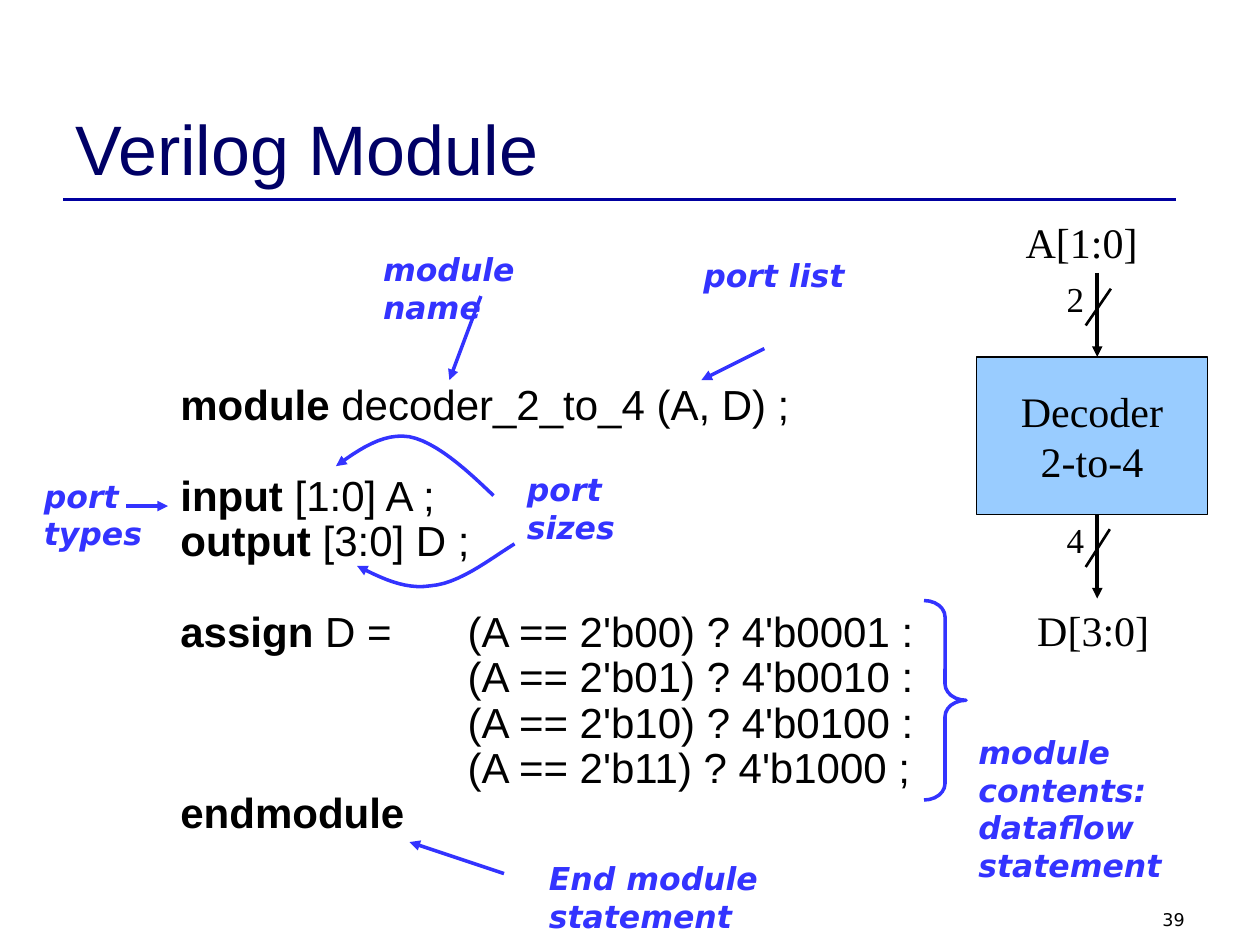
"""Build the Verilog Module slide."""
from dataclasses import dataclass
from typing import Optional

from lxml import etree
from pptx import Presentation
from pptx.dml.color import RGBColor
from pptx.enum.shapes import MSO_CONNECTOR, MSO_SHAPE
from pptx.enum.text import MSO_ANCHOR, PP_ALIGN
from pptx.oxml.ns import qn
from pptx.util import Inches, Pt

STRAIGHT = MSO_CONNECTOR.STRAIGHT
RECT, BRACE = MSO_SHAPE.RECTANGLE, MSO_SHAPE.RIGHT_BRACE
TOP, MIDDLE, BOTTOM = MSO_ANCHOR.TOP, MSO_ANCHOR.MIDDLE, MSO_ANCHOR.BOTTOM
LEFT, CENTER, RIGHT = PP_ALIGN.LEFT, PP_ALIGN.CENTER, PP_ALIGN.RIGHT
COLUMNS, ROWS, CELLS_PER_INCH = 120, 90, 12
CURVE_STEPS = 12
VALUE_TAB = 2.28


@dataclass(frozen=True)
class Style:
    """Character format of a kind of text."""
    name: str
    size: int
    color: str
    bold: bool = False
    italic: bool = False


@dataclass(frozen=True)
class Theme:
    """Colours and type styles of the slide."""
    ink: str = "000000"
    accent: str = "3333FF"
    rule: str = "0000A0"
    block: str = "99CCFF"
    title: Style = Style("Arial", 40, "000066")
    code: Style = Style("Arial", 24, "000000")
    note: Style = Style("DejaVu Sans", 18, "3333FF", True, True)
    signal: Style = Style("Times New Roman", 24, "000000")
    width: Style = Style("Times New Roman", 20, "000000")
    number: Style = Style("DejaVu Sans", 10, "000000")


THEME = Theme()


@dataclass(frozen=True)
class Label:
    """Text in a box measured in grid cells."""
    text: str
    style: Style
    box: tuple[float, ...]
    wrap: bool = True
    anchor: MSO_ANCHOR = TOP
    align: PP_ALIGN = LEFT


@dataclass(frozen=True)
class Line:
    """Straight line between two grid points."""
    start: tuple[float, float]
    end: tuple[float, float]
    color: str
    weight: float = 2
    arrow: bool = True


@dataclass(frozen=True)
class CodeLine:
    """Keyword and the rest of a line of code."""
    keyword: str = ""
    rest: str = ""
    gap: bool = False


LABELS = (
    Label("39", THEME.number, (86, 86, 28, 3), align=RIGHT),
    Label("Verilog Module", THEME.title, (6, 3.6, 108, 15), anchor=BOTTOM),
    Label("A[1:0]", THEME.signal, (96.5, 20, 13.1, 6), False),
    Label("D[3:0]", THEME.signal, (97.6, 57, 13.1, 6), False),
    Label("2", THEME.width, (100.4, 25.8, 4.1, 5.3), False),
    Label("4", THEME.width, (100.4, 48.8, 4.1, 5.3), False),
    Label("port list", THEME.note, (65.8, 23.8, 25.2, 4.8)),
    Label("module name", THEME.note, (35.3, 23.2, 21.7, 4.8)),
    Label("port types", THEME.note, (3, 44.8, 14, 8.4)),
    Label("port sizes", THEME.note, (49, 44.2, 14, 8.4)),
    Label("module contents: dataflow statement", THEME.note, (92, 69.2, 26, 15.6)),
    Label("End module statement", THEME.note, (51.1, 81.2, 34.6, 4.8)),
)
LINES = (
    Line((6, 19), (112, 19), THEME.rule, 1.5, False),
    Line((104.5, 26), (104.5, 34), THEME.ink),
    Line((104.5, 49), (104.5, 57), THEME.ink),
    Line((105.8, 27.5), (103.4, 31), THEME.ink, 1.5, False),
    Line((105.7, 50.4), (103.4, 54), THEME.ink, 1.5, False),
    Line((72.8, 33.2), (66.8, 36.2), THEME.accent),
    Line((45.8, 28.2), (42.8, 36.2), THEME.accent),
    Line((12, 48.2), (16, 48.2), THEME.accent),
    Line((48, 83.2), (39, 80.2), THEME.accent),
)
CURVES = (
    ((47, 47.2), (44.3, 44.6), (41.5, 42.1), (39, 41.6),
     (36.5, 41.2), (34.2, 42.8), (32, 44.4)),
    ((49, 51.8), (46.2, 53.6), (43.6, 55.6), (41, 55.8),
     (38.5, 56.2), (36.2, 55), (34, 53.9)),
)
CODE = (
    CodeLine("module", " decoder_2_to_4 (A, D) ;"),
    CodeLine("input", " [1:0] A ;", True),
    CodeLine("output", " [3:0] D ;"),
    CodeLine("assign", " D =\t(A == 2'b00) ? 4'b0001 :", True),
    CodeLine(rest="\t(A == 2'b01) ? 4'b0010 :"),
    CodeLine(rest="\t(A == 2'b10) ? 4'b0100 :"),
    CodeLine(rest="\t(A == 2'b11) ? 4'b1000 ;"),
    CodeLine("endmodule"),
)


def cells(*values: float) -> list[int]:
    """Turn grid cells into lengths."""
    return [Inches(v / CELLS_PER_INCH) for v in values]


def add_run(p, text: str, style: Style, bold: Optional[bool] = None) -> None:
    """Add a styled run to a paragraph."""
    r = p.add_run()
    r.text = text
    values = {"name": style.name, "size": Pt(style.size), "italic": style.italic,
              "bold": style.bold if bold is None else bold}
    for key, value in values.items():
        setattr(r.font, key, value)
    r.font.color.rgb = RGBColor.from_string(style.color)


def draw_label(s, label: Label) -> None:
    """Draw a text box."""
    fill_text(s.shapes.add_textbox(*cells(*label.box)).text_frame, label)


def fill_text(tf, label: Label) -> None:
    """Write a label into a text frame, one paragraph a line."""
    tf.word_wrap, tf.vertical_anchor = label.wrap, label.anchor
    for i, text in enumerate(label.text.split("\n")):
        p = tf.add_paragraph() if i else tf.paragraphs[0]
        p.alignment = label.align
        add_run(p, text, label.style)


def style_line(shape, color: str, weight: float, arrow: bool) -> None:
    """Set the stroke of a shape and its arrowhead."""
    shape.line.color.rgb = RGBColor.from_string(color)
    shape.line.width = Pt(weight)
    if arrow:
        ln = shape._element.spPr.find(qn("a:ln"))
        etree.SubElement(ln, qn("a:tailEnd"), type="triangle")


def draw_line(s, line: Line) -> None:
    """Draw a straight connector."""
    c = s.shapes.add_connector(STRAIGHT, *cells(*line.start, *line.end))
    style_line(c, line.color, line.weight, line.arrow)
    etree.SubElement(c._element.spPr, qn("a:effectLst"))


def bezier(points, t: float) -> list[int]:
    """Return the point at t on a cubic curve."""
    weights = ((1 - t) ** 3, 3 * t * (1 - t) ** 2, 3 * t * t * (1 - t), t ** 3)
    return cells(*(sum(w * v for w, v in zip(weights, axis)) for axis in zip(*points)))


def draw_curve(s, points) -> None:
    """Draw a curved arrow made of joined cubic curves."""
    track = [bezier(points[i:i + 4], k / CURVE_STEPS)
             for i in range(0, len(points) - 1, 3) for k in range(1, CURVE_STEPS + 1)]
    builder = s.shapes.build_freeform(*cells(*points[0]))
    builder.add_line_segments(track, close=False)
    sp = builder.convert_to_shape()
    sp.shadow.inherit = False
    sp.fill.background()
    style_line(sp, THEME.accent, 2, True)


def draw_code(s) -> None:
    """Draw the module listing."""
    tf = s.shapes.add_textbox(*cells(16, 36, 99, 44.4)).text_frame
    tf.word_wrap = True
    for i, line in enumerate(CODE):
        p = tf.add_paragraph() if i else tf.paragraphs[0]
        p.line_spacing = 0.9
        if line.gap:
            p.space_before = Pt(26)
        tabs = etree.SubElement(p._p.get_or_add_pPr(), qn("a:tabLst"))
        etree.SubElement(tabs, qn("a:tab"), pos=str(Inches(VALUE_TAB)), algn="l")
        for text, bold in ((line.keyword, True), (line.rest, False)):
            if text:
                add_run(p, text, THEME.code, bold)


def draw_decoder(s) -> None:
    """Draw the decoder block."""
    label = Label("Decoder\n2-to-4", THEME.signal, (93, 34, 22, 15), False, MIDDLE, CENTER)
    sp = s.shapes.add_shape(RECT, *cells(*label.box))
    sp.shadow.inherit = False
    sp.fill.solid()
    sp.fill.fore_color.rgb = RGBColor.from_string(THEME.block)
    style_line(sp, THEME.ink, 0.75, False)
    fill_text(sp.text_frame, label)


def draw_brace(s) -> None:
    """Draw the brace beside the assignment."""
    sp = s.shapes.add_shape(BRACE, *cells(88, 57.2, 4, 19))
    sp.shadow.inherit = False
    sp.adjustments[0] = 0.39
    sp.fill.background()
    style_line(sp, THEME.accent, 2, False)


def main() -> None:
    """Build and save the slide."""
    prs = Presentation()
    prs.slide_width, prs.slide_height = cells(COLUMNS, ROWS)
    s = prs.slides.add_slide(prs.slide_layouts[6])
    draw_code(s)
    draw_decoder(s)
    for draw, items in ((draw_label, LABELS), (draw_line, LINES), (draw_curve, CURVES)):
        for item in items:
            draw(s, item)
    draw_brace(s)
    prs.save("out.pptx")


if __name__ == "__main__":
    main()
